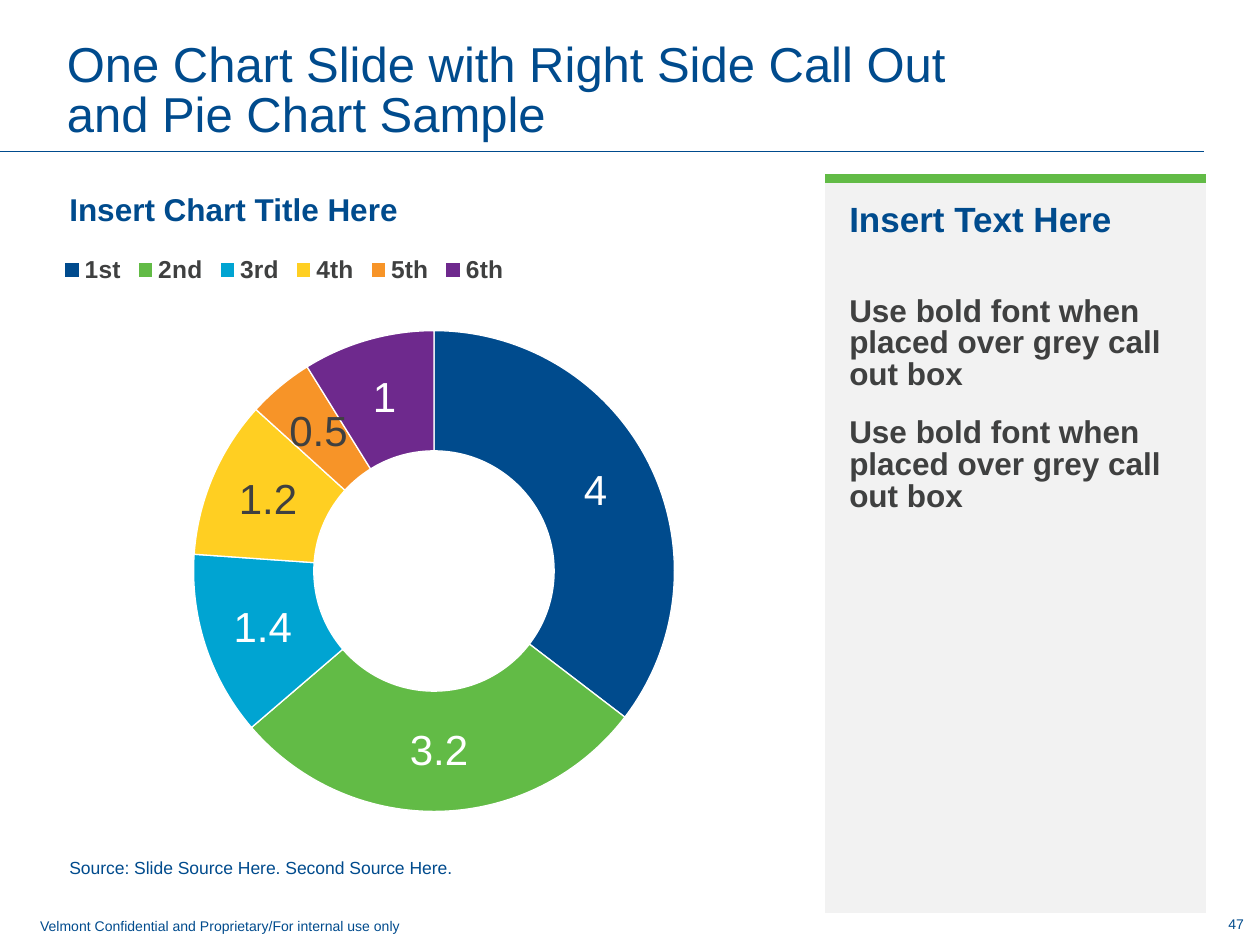
from dataclasses import dataclass
from typing import NamedTuple

from lxml.etree import SubElement
from pptx import Presentation
from pptx.chart.data import CategoryChartData
from pptx.dml.color import RGBColor
from pptx.enum.chart import XL_CHART_TYPE, XL_LEGEND_POSITION
from pptx.enum.shapes import MSO_CONNECTOR
from pptx.enum.text import MSO_ANCHOR, MSO_AUTO_SIZE, PP_ALIGN
from pptx.oxml import parse_xml
from pptx.oxml.ns import nsdecls, qn
from pptx.util import Pt


@dataclass(frozen=True)
class Theme:
    font: str = "Arial"
    blue: str = "004B8D"
    green: str = "62BB46"
    cyan: str = "00A4D2"
    yellow: str = "FFCF22"
    orange: str = "F79428"
    purple: str = "6E298D"
    dark: str = "3F4040"
    panel: str = "F2F2F2"
    white: str = "FFFFFF"
    title_size: float = 28
    label_size: float = 24
    callout_size: float = 20
    text_size: float = 18
    legend_size: float = 14
    source_size: float = 10
    footer_size: float = 8


class Frame(NamedTuple):
    left: float
    top: float
    width: float
    height: float

    def points(self) -> list:
        return [Pt(value) for value in self]


class Margins(NamedTuple):
    left: float = 7.2
    top: float = 3.6
    right: float = 7.2
    bottom: float = 3.6


class Slice(NamedTuple):
    name: str
    value: float
    color: str
    dark_label: bool = False


@dataclass(frozen=True)
class TextStyle:
    size: float
    color: str
    bold: bool = False
    line_spacing: float = 1.0
    before: float = 0
    after: float = 0
    align: PP_ALIGN = PP_ALIGN.LEFT


THEME = Theme()
SLICES = [
    Slice("1st", 4, THEME.blue),
    Slice("2nd", 3.2, THEME.green),
    Slice("3rd", 1.4, THEME.cyan),
    Slice("4th", 1.2, THEME.yellow, dark_label=True),
    Slice("5th", 0.5, THEME.orange, dark_label=True),
    Slice("6th", 1, THEME.purple),
]
ADVICE = "Use bold font when placed over grey call out box"


def style_font(font, size: float, color: str, bold: bool = False) -> None:
    font.name, font.size, font.bold = THEME.font, Pt(size), bold
    font.color.rgb = RGBColor.from_string(color)


def write(text_frame, texts: list[str], style: TextStyle) -> None:
    for index, text in enumerate(texts):
        para = text_frame.add_paragraph() if index else text_frame.paragraphs[0]
        para.text = text
        para.alignment = style.align
        para.line_spacing = style.line_spacing
        para.space_before = Pt(style.before if index else 0)
        para.space_after = Pt(style.after)
        for span in para.runs:
            style_font(span.font, style.size, style.color, style.bold)


def fill_box(box, frame: Frame, text: str, style: TextStyle,
             anchor: MSO_ANCHOR, margins: Margins = Margins()) -> None:
    box.left, box.top, box.width, box.height = frame.points()
    text_frame = box.text_frame
    text_frame.word_wrap = True
    text_frame.auto_size = MSO_AUTO_SIZE.NONE
    text_frame.vertical_anchor = anchor
    (text_frame.margin_left, text_frame.margin_top,
     text_frame.margin_right, text_frame.margin_bottom) = map(Pt, margins)
    write(text_frame, [text], style)


def add_label(page, frame: Frame, text: str, style: TextStyle, anchor: MSO_ANCHOR) -> None:
    fill_box(page.shapes.add_textbox(*frame.points()), frame, text, style, anchor)


def add_rule(page, y: float, width: float) -> None:
    rule = page.shapes.add_connector(MSO_CONNECTOR.STRAIGHT, 0, Pt(y), Pt(width), Pt(y))
    rule.line.color.rgb = RGBColor.from_string(THEME.blue)
    rule.line.width = Pt(0.75)
    SubElement(rule._element.spPr, qn("a:effectLst"))


def manual_layout(x: float, y: float, w: float, h: float, inner: bool = False):
    """Return a chart layout given as fractions of the chart frame."""
    target = '<c:layoutTarget val="inner"/>' if inner else ""
    return parse_xml(
        f'<c:layout {nsdecls("c")}><c:manualLayout>{target}'
        '<c:xMode val="edge"/><c:yMode val="edge"/>'
        f'<c:x val="{x}"/><c:y val="{y}"/><c:w val="{w}"/><c:h val="{h}"/>'
        "</c:manualLayout></c:layout>")


def drop_layout(parent) -> None:
    for layout in parent.findall(qn("c:layout")):
        parent.remove(layout)


def add_doughnut(page, frame: Frame, slices: list[Slice]) -> None:
    data = CategoryChartData()
    data.categories = [part.name for part in slices]
    data.add_series("Series 1", [part.value for part in slices])
    chart = page.shapes.add_chart(XL_CHART_TYPE.DOUGHNUT, *frame.points(), data).chart
    chart.has_title = False
    style_font(chart.font, THEME.text_size, THEME.dark)

    chart.has_legend = True
    legend = chart.legend
    legend.position = XL_LEGEND_POSITION.TOP
    legend.include_in_layout = False
    style_font(legend.font, THEME.legend_size, THEME.dark, bold=True)
    drop_layout(legend._element)
    legend._element.find(qn("c:legendPos")).addnext(manual_layout(0, 0.01, 0.61, 0.08))

    plot = chart.plots[0]
    plot.vary_by_categories = True
    plot._element.find(qn("c:holeSize")).set("val", "36")
    plot_area = plot._element.getparent()
    drop_layout(plot_area)
    plot_area.insert(0, manual_layout(0.18, 0.15, 0.65, 0.79, inner=True))

    series = plot.series[0]
    labels = series.data_labels
    labels.show_value, labels.show_percentage = True, False
    style_font(labels.font, THEME.label_size, THEME.white)
    for index, part in enumerate(slices):
        point = series.points[index]
        point.format.fill.solid()
        point.format.fill.fore_color.rgb = RGBColor.from_string(part.color)
        point.format.line.color.rgb = RGBColor.from_string(THEME.white)
        point.format.line.width = Pt(0.75)
        if part.dark_label:
            style_font(point.data_label.font, THEME.label_size, THEME.dark)


def set_borders(cell, borders: dict[str, tuple[str, float]]) -> None:
    """Draw the given sides (L, R, T, B, in that order) as colour and width."""
    properties = cell._tc.get_or_add_tcPr()
    for index, (side, (color, width)) in enumerate(borders.items()):
        properties.insert(index, parse_xml(
            f'<a:ln{side} {nsdecls("a")} w="{Pt(width)}"><a:solidFill>'
            f'<a:srgbClr val="{color}"/></a:solidFill></a:ln{side}>'))


def add_callout(page, frame: Frame, heading_height: float) -> None:
    table = page.shapes.add_table(2, 1, *frame.points()).table
    table.first_row = table.horz_banding = False
    plain_style = "{2D5ABB26-0587-4C30-8999-92F81FD0307C}"
    table._tbl.tblPr.find(qn("a:tableStyleId")).text = plain_style
    edge = (THEME.white, 1)
    sides = {"L": edge, "R": edge}
    rows = [
        (heading_height, ["Insert Text Here"], sides | {"T": (THEME.green, 6)},
         TextStyle(THEME.callout_size, THEME.blue, True, 0.9, 3, 3)),
        (frame.height - heading_height, [ADVICE, ADVICE], sides | {"B": edge},
         TextStyle(THEME.text_size, THEME.dark, True, 0.9, 3, 12)),
    ]
    for index, (height, texts, borders, style) in enumerate(rows):
        table.rows[index].height = Pt(height)
        cell = table.cell(index, 0)
        cell.margin_left = cell.margin_top = cell.margin_right = cell.margin_bottom = Pt(14.4)
        cell.fill.solid()
        cell.fill.fore_color.rgb = RGBColor.from_string(THEME.panel)
        set_borders(cell, borders)
        write(cell.text_frame, texts, style)


def main() -> None:
    deck = Presentation()
    deck.slide_width, deck.slide_height = Pt(720), Pt(540)
    page = deck.slides.add_slide(deck.slide_layouts.get_by_name("Comparison"))
    title, heading, left_content, source, right_content = page.placeholders
    for unused in (left_content, right_content):
        unused._element.getparent().remove(unused._element)

    add_rule(page, 86.4, 688.3)
    fill_box(title, Frame(31, 10, 658, 75),
             "One Chart Slide with Right Side Call Out\nand Pie Chart Sample",
             TextStyle(THEME.title_size, THEME.blue, line_spacing=0.85), MSO_ANCHOR.BOTTOM)
    fill_box(heading, Frame(32.4, 95.8, 429, 34.6), "Insert Chart Title Here",
             TextStyle(THEME.text_size, THEME.blue, True, 0.9, 3, 3),
             MSO_ANCHOR.BOTTOM, Margins(top=7.2, bottom=0))
    add_doughnut(page, Frame(31.7, 136.8, 428.4, 347.8), SLICES)
    fill_box(source, Frame(32.4, 489.6, 428.4, 15.8),
             "Source: Slide Source Here. Second Source Here.",
             TextStyle(THEME.source_size, THEME.blue, line_spacing=0.9),
             MSO_ANCHOR.BOTTOM, Margins(top=7.2))
    add_callout(page, Frame(470.9, 102.2, 218.9, 420), 53)
    add_label(page, Frame(15.8, 520.6, 656.6, 19.4),
              "Velmont Confidential and Proprietary/For internal use only",
              TextStyle(THEME.footer_size, THEME.blue), MSO_ANCHOR.TOP)
    add_label(page, Frame(675.4, 520.6, 42.5, 15), "47",
              TextStyle(THEME.footer_size, THEME.blue, align=PP_ALIGN.RIGHT), MSO_ANCHOR.MIDDLE)
    deck.save("out.pptx")


if __name__ == "__main__":
    main()
